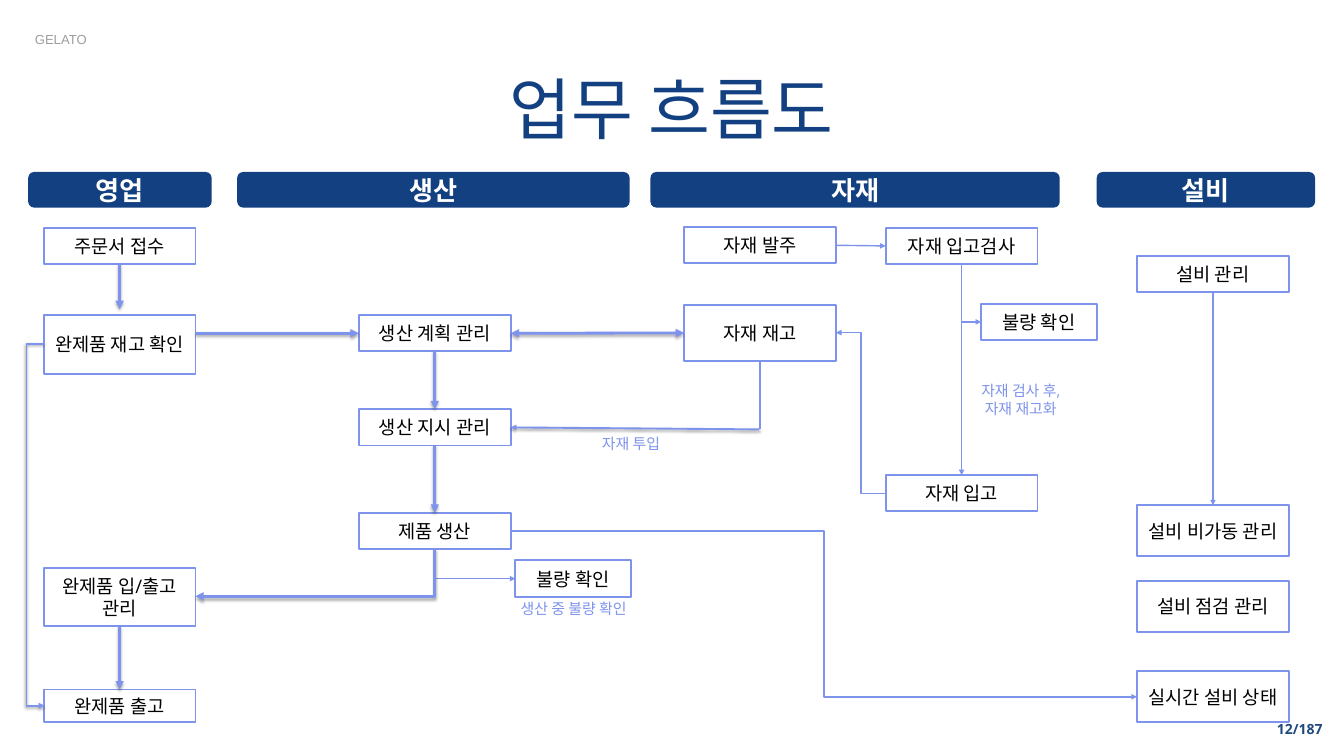
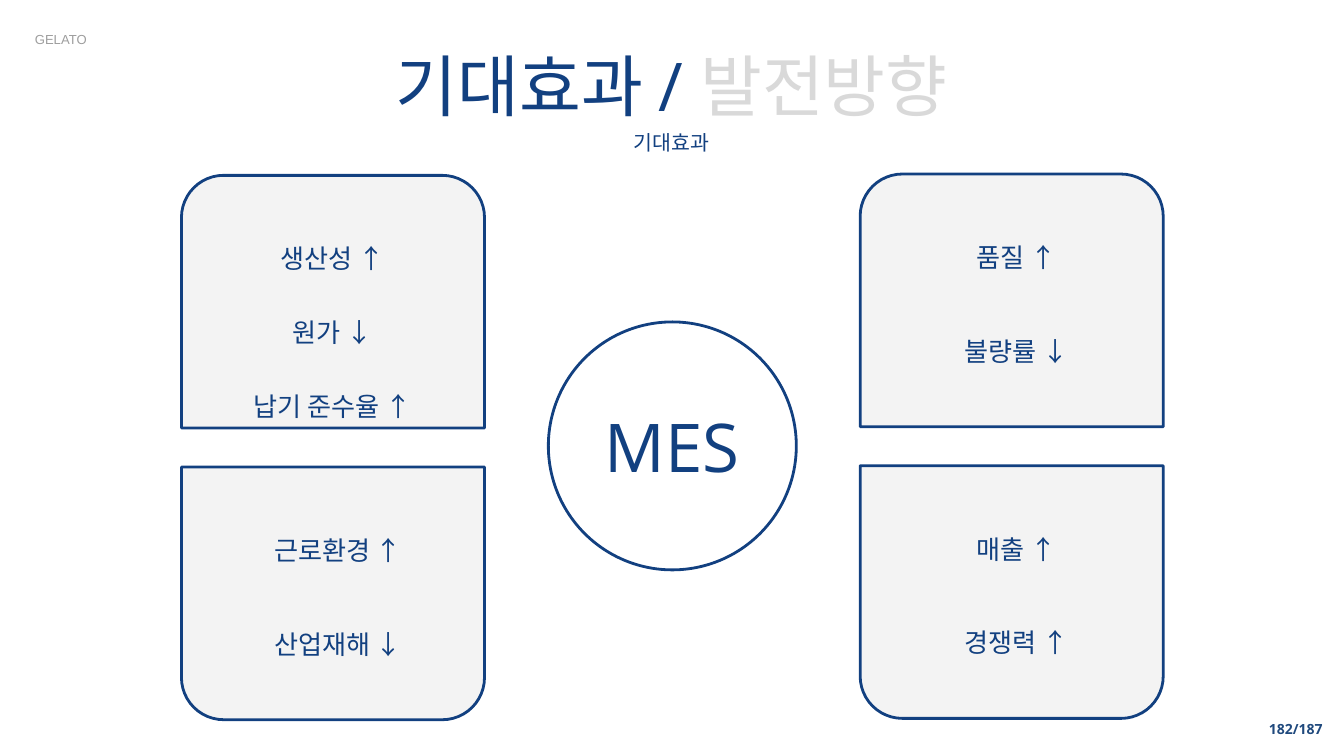
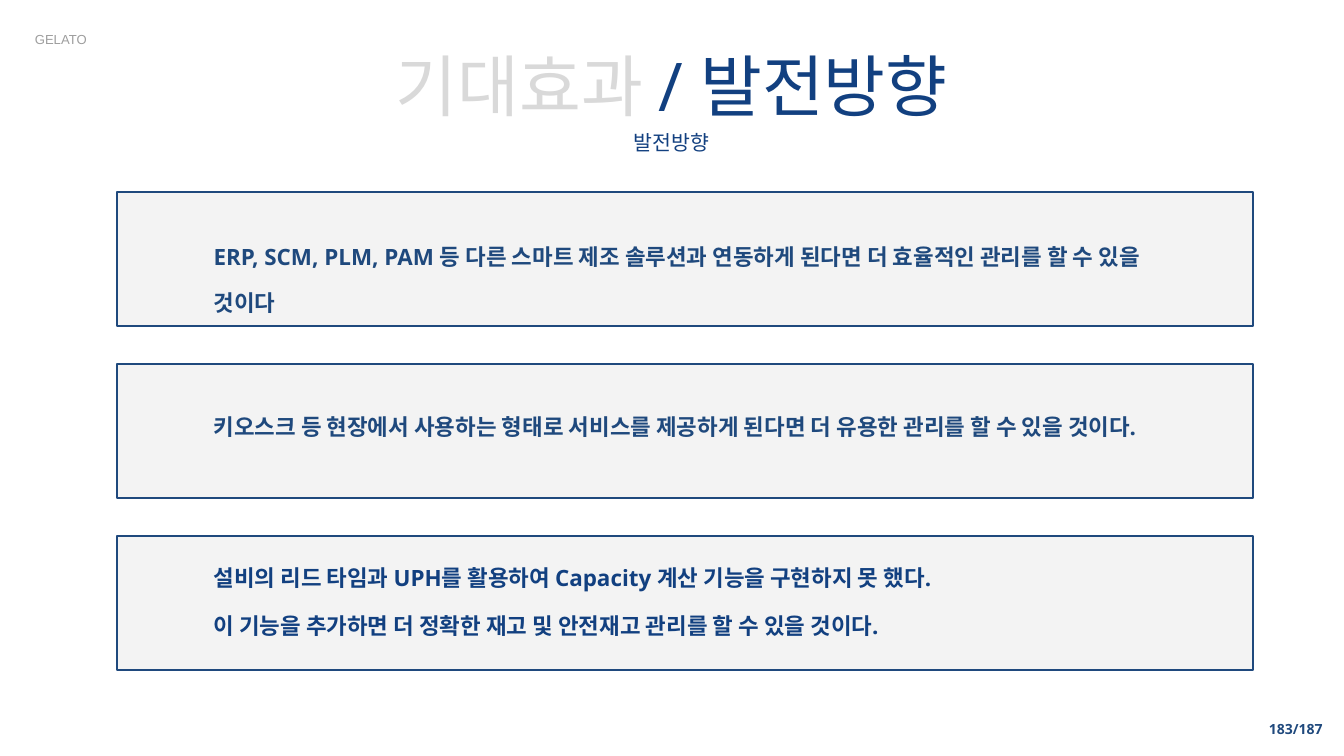
from collections import namedtuple
from dataclasses import dataclass

from lxml import etree
from pptx import Presentation
from pptx import util as u
from pptx.dml.color import RGBColor
from pptx.enum import shapes, text
from pptx.oxml import ns

PX = 9144  # EMU per px: 100 px to the inch

TextStyle = namedtuple("TextStyle", "font size color bold", defaults=(False,))
Stroke = namedtuple("Stroke", "width shadow_alpha shadow_distance", defaults=(0, 0))


@dataclass(frozen=True)
class Theme:
    navy: str = "124080"
    ink: str = "1F497D"
    flow: str = "7E93EB"
    faded: str = "D9D9D9"
    panel: str = "F3F3F3"
    white: str = "FFFFFF"
    title: TextStyle = TextStyle("Open Sans", 72, "124080")
    subtitle: TextStyle = TextStyle("Arial", 22, "124080")
    brand: TextStyle = TextStyle("Arial", 14, "9E9E9E")
    page: TextStyle = TextStyle("Open Sans", 15, "1F497D", True)
    band: TextStyle = TextStyle("Arial", 28, "FFFFFF", True)
    step: TextStyle = TextStyle("Open Sans", 20, "000000")
    note: TextStyle = TextStyle("Open Sans", 16, "7E93EB")
    effect: TextStyle = TextStyle("Open Sans", 28, "124080")
    plan: TextStyle = TextStyle("Open Sans", 24, "1F497D", True)
    heavy: Stroke = Stroke(3, 35, 1.8)
    medium: Stroke = Stroke(2, 38, 1.6)
    thin: Stroke = Stroke(1.5)
    plain: Stroke = Stroke(3)


THEME = Theme()
LEFT, CENTER, RIGHT = text.PP_ALIGN.LEFT, text.PP_ALIGN.CENTER, text.PP_ALIGN.RIGHT
SHAPE = shapes.MSO_SHAPE
TOP_SIDE, LEFT_SIDE, BOTTOM_SIDE, RIGHT_SIDE = range(4)
SIDE_FRACTIONS = [(0.5, 0), (0, 0.5), (0.5, 1), (1, 0.5)]


def px(*lengths):
    return [u.Emu(length * PX) for length in lengths]


def rgb(color):
    return RGBColor.from_string(color)


# Text
def write(frame, lines, style, align=CENTER, spacing=None, gap=None):
    """Each line is a string or a list of (text, colour) runs."""
    frame.word_wrap = True
    for index, line in enumerate(lines):
        paragraph = frame.add_paragraph() if index else frame.paragraphs[0]
        paragraph.alignment = align
        if spacing:
            paragraph.line_spacing = spacing
        if gap and index:
            paragraph.space_before = u.Pt(gap)
        for words, color in [(line, style.color)] if isinstance(line, str) else line:
            run = paragraph.add_run()
            run.text = words
            run.font.name = style.font
            run.font.size = u.Pt(style.size)
            run.font.bold = style.bold
            run.font.color.rgb = rgb(color)


def add_label(slide, box, lines, style, align=CENTER, padding=5, grow=True, **layout):
    frame = slide.shapes.add_textbox(*px(*box)).text_frame
    frame.margin_top, frame.margin_bottom = px(padding, padding)
    write(frame, lines, style, align, **layout)
    if grow:
        frame.auto_size = text.MSO_AUTO_SIZE.SHAPE_TO_FIT_TEXT
    else:
        frame.vertical_anchor = text.MSO_ANCHOR.MIDDLE


# Shapes
def add_box(slide, kind, box, fill=None, line=None, width=3, adjustments=()):
    shape = slide.shapes.add_shape(kind, *px(*box))
    shape.shadow.inherit = False
    if fill:
        shape.fill.solid()
        shape.fill.fore_color.rgb = rgb(fill)
    else:
        shape.fill.background()
    if line:
        shape.line.color.rgb = rgb(line)
        shape.line.width = u.Pt(width)
    else:
        shape.line.fill.background()
    for index, value in enumerate(adjustments):
        shape.adjustments[index] = value
    return shape


def add_band(slide, left, width, words):
    band = add_box(slide, SHAPE.ROUNDED_RECTANGLE, (left, 256, width, 53),
                   THEME.navy, adjustments=[0.167])
    write(band.text_frame, [words], THEME.band)


def add_step(slide, box, words):
    step = add_box(slide, SHAPE.RECTANGLE, box, THEME.white, THEME.flow, 2)
    write(step.text_frame, [words], THEME.step)
    return step


# Connectors
def style_connector(connector, stroke, ends):
    connector.line.color.rgb = rgb(THEME.flow)
    connector.line.width = u.Pt(stroke.width)
    properties = connector._element.spPr
    outline = properties.find(ns.qn("a:ln"))
    for end in ends:
        etree.SubElement(outline, ns.qn(f"a:{end}End"), type="triangle")
    effects = etree.SubElement(properties, ns.qn("a:effectLst"))
    if stroke.shadow_alpha:
        shadow = etree.SubElement(
            effects, ns.qn("a:outerShdw"), blurRad=str(u.Pt(3.1)),
            dist=str(u.Pt(stroke.shadow_distance)), dir="5400000", rotWithShape="0")
        color = etree.SubElement(shadow, ns.qn("a:srgbClr"), val="000000")
        etree.SubElement(color, ns.qn("a:alpha"), val=str(stroke.shadow_alpha * 1000))


def locate(end):
    """An end is a point in px, or a shape with one of its sides."""
    if isinstance(end[0], int):
        return px(*end)
    shape, side = end
    across, down = SIDE_FRACTIONS[side]
    return [u.Emu(int(shape.left + shape.width * across)),
            u.Emu(int(shape.top + shape.height * down))]


def add_straight(slide, start, finish, stroke, ends=("tail",)):
    connector = slide.shapes.add_connector(
        shapes.MSO_CONNECTOR.STRAIGHT, *locate(start), *locate(finish))
    if not isinstance(start[0], int):
        connector.begin_connect(*start)
    if not isinstance(finish[0], int):
        connector.end_connect(*finish)
    style_connector(connector, stroke, ends)


def add_elbow(slide, start, finish, stroke, bend=0.5, quarter_turn=False):
    """bend is the turning point as a share of the width; a quarter turn has one corner."""
    connector = slide.shapes.add_connector(
        shapes.MSO_CONNECTOR.ELBOW, *px(*start), *px(*finish))
    properties = connector._element.spPr
    geometry = properties.find(ns.qn("a:prstGeom"))
    if quarter_turn:
        geometry.set("prst", "bentConnector2")
        properties.find(ns.qn("a:xfrm")).set("rot", "5400000")
    elif bend != 0.5:
        guides = geometry.find(ns.qn("a:avLst"))
        if guides is None:
            guides = etree.SubElement(geometry, ns.qn("a:avLst"))
        etree.SubElement(guides, ns.qn("a:gd"), name="adj1", fmla=f"val {bend * 100000}")
    style_connector(connector, stroke, ["tail"])


# Parts shared by the slides
def add_page(presentation, number, title, title_top, subtitle=None):
    slide = presentation.slides.add_slide(presentation.slide_layouts[6])
    add_label(slide, (42, 42, 221, 34), ["GELATO"], THEME.brand, LEFT)
    add_label(slide, (59, title_top, 1881, 131), [title], THEME.title)
    if subtitle:
        add_label(slide, (156, 188, 1687, 47), [subtitle], THEME.subtitle)
    add_label(slide, (1745, 1065, 233, 40), [f"{number}/187"], THEME.page, RIGHT, grow=False)
    return slide


# Slide: work flow
def build_flow(presentation):
    slide = add_page(presentation, 12, "업무 흐름도", 95)
    for left, width, words in [(42, 273, "영업"), (353, 584, "생산"),
                               (968, 609, "자재"), (1632, 325, "설비")]:
        add_band(slide, left, width, words)

    sales, making, stock, intake, equipment = 65, 534, 1018, 1318, 1692
    wide, low = 226, 54
    steps = {
        "order": (sales, 339, wide, low, "주문서 접수"),
        "goods": (sales, 469, wide, 87, "완제품 재고 확인"),
        "store": (sales, 845, wide, 87, "완제품 입/출고 관리"),
        "ship": (sales, 1026, wide, 48, "완제품 출고"),
        "plan": (making, 469, wide, low, "생산 계획 관리"),
        "instruct": (making, 609, wide, low, "생산 지시 관리"),
        "produce": (making, 763, wide, low, "제품 생산"),
        "product_defect": (767, 834, 172, low, "불량 확인"),
        "purchase": (stock, 338, wide, low, "자재 발주"),
        "material": (stock, 454, wide, 83, "자재 재고"),
        "inspect": (intake, 339, wide, low, "자재 입고검사"),
        "material_defect": (1460, 452, 172, low, "불량 확인"),
        "receive": (intake, 707, wide, low, "자재 입고"),
        "equipment": (equipment, 381, wide, low, "설비 관리"),
        "downtime": (equipment, 752, wide, 76, "설비 비가동 관리"),
        "check": (equipment, 864, wide, 76, "설비 점검 관리"),
        "live": (equipment, 999, wide, 76, "실시간 설비 상태"),
    }
    step = {name: add_step(slide, box, words) for name, (*box, words) in steps.items()}

    # Downward arrows between steps
    for upper, lower, stroke in [("plan", "instruct", THEME.heavy),
                                 ("instruct", "produce", THEME.heavy),
                                 ("store", "ship", THEME.heavy),
                                 ("inspect", "receive", THEME.thin),
                                 ("equipment", "downtime", THEME.thin)]:
        add_straight(slide, (step[upper], BOTTOM_SIDE), (step[lower], TOP_SIDE), stroke)

    # Other straight lines
    add_straight(slide, (step["order"], BOTTOM_SIDE), (178, 460), THEME.heavy)
    add_straight(slide, (291, 496), (step["plan"], LEFT_SIDE), THEME.heavy)
    add_straight(slide, (step["plan"], RIGHT_SIDE), (step["material"], LEFT_SIDE),
                 THEME.heavy, ("head", "tail"))
    add_straight(slide, (step["purchase"], RIGHT_SIDE), (step["inspect"], LEFT_SIDE), THEME.thin)
    add_straight(slide, (646, 861), (step["product_defect"], LEFT_SIDE), THEME.thin)
    add_straight(slide, (1432, 479), (step["material_defect"], LEFT_SIDE), THEME.thin)
    add_straight(slide, (1130, 639), (step["instruct"], RIGHT_SIDE), THEME.medium)
    add_straight(slide, (step["material"], BOTTOM_SIDE), (1131, 639), THEME.plain, ())

    # Bent arrows
    add_elbow(slide, (433, 674), (504, 1030), THEME.heavy, quarter_turn=True)
    add_elbow(slide, (65, 512), (66, 1050), THEME.medium, bend=-26)
    add_elbow(slide, (1318, 734), (1244, 495), THEME.thin)
    add_elbow(slide, (760, 790), (1692, 1037), THEME.thin)

    add_label(slide, (1437, 563, 164, 64), ["자재 검사 후,", "자재 재고화"], THEME.note)
    add_label(slide, (629, 888, 449, 37), ["생산 중 불량 확인"], THEME.note)
    add_label(slide, (852, 642, 174, 37), ["자재 투입"], THEME.note)


# Slide: expected effects
def build_effects(presentation):
    title = [("기대효과 / ", THEME.navy), ("발전방향", THEME.faded)]
    slide = add_page(presentation, 182, title, 61, "기대효과")
    pair = {"spacing": 1.15, "gap": 62}
    cards = [
        (270, 261, 0, (331, 304, 328, 290), ["생산성 ↑", "원가 ↓", "납기 준수율 ↑"],
         {"spacing": 2.0, "gap": 12}),
        (270, 695, 180, (339, 778, 328, 209), ["근로환경 ↑", "산업재해 ↓"], pair),
        (1280, 259, 0, (1349, 342, 328, 209), ["품질 ↑", "불량률 ↓"], pair),
        (1280, 693, 180, (1349, 776, 328, 209), ["매출 ↑", "경쟁력 ↑"], pair),
    ]
    for left, top, rotation, label, lines, layout in cards:
        card = add_box(slide, SHAPE.ROUND_2_SAME_RECTANGLE, (left, top, 451, 376),
                       THEME.panel, THEME.navy, adjustments=[0.167, 0])
        card.rotation = rotation
        add_label(slide, label, lines, THEME.effect, padding=10, **layout)

    add_box(slide, SHAPE.OVAL, (816, 479, 369, 369), line=THEME.navy)
    add_label(slide, (840, 598, 321, 131), ["MES"], THEME.title)


# Slide: directions for development
def build_directions(presentation):
    title = [("기대효과", THEME.faded), (" / 발전방향", THEME.navy)]
    slide = add_page(presentation, 183, title, 61, "발전방향")
    directions = [
        (324, ["ERP, SCM, PLM, PAM 등 다른 스마트 제조 솔루션과 연동하게 된다면 "
               "더 효율적인 관리를 할 수 있을 것이다"], THEME.plan, {"spacing": 1.7}),
        (577, ["키오스크 등 현장에서 사용하는 형태로 서비스를 제공하게 된다면 "
               "더 유용한 관리를 할 수 있을 것이다."], THEME.plan, {"spacing": 1.7}),
        (830, ["설비의 리드 타임과 UPH를 활용하여 Capacity 계산 기능을 구현하지 못 했다.",
               "이 기능을 추가하면 더 정확한 재고 및 안전재고 관리를 할 수 있을 것이다."],
         THEME.plan._replace(color=THEME.navy), {"gap": 22}),
    ]
    for row, (top, lines, style, layout) in enumerate(directions):
        add_box(slide, SHAPE.RECTANGLE, (174, 286 + 256 * row, 1691, 199),
                THEME.panel, THEME.ink, 2.25)
        add_label(slide, (308, top, 1423, 129), lines, style, LEFT, padding=10, **layout)


def main():
    presentation = Presentation()
    presentation.slide_width, presentation.slide_height = px(2000, 1125)
    build_flow(presentation)
    build_effects(presentation)
    build_directions(presentation)
    presentation.save("out.pptx")


if __name__ == "__main__":
    main()
